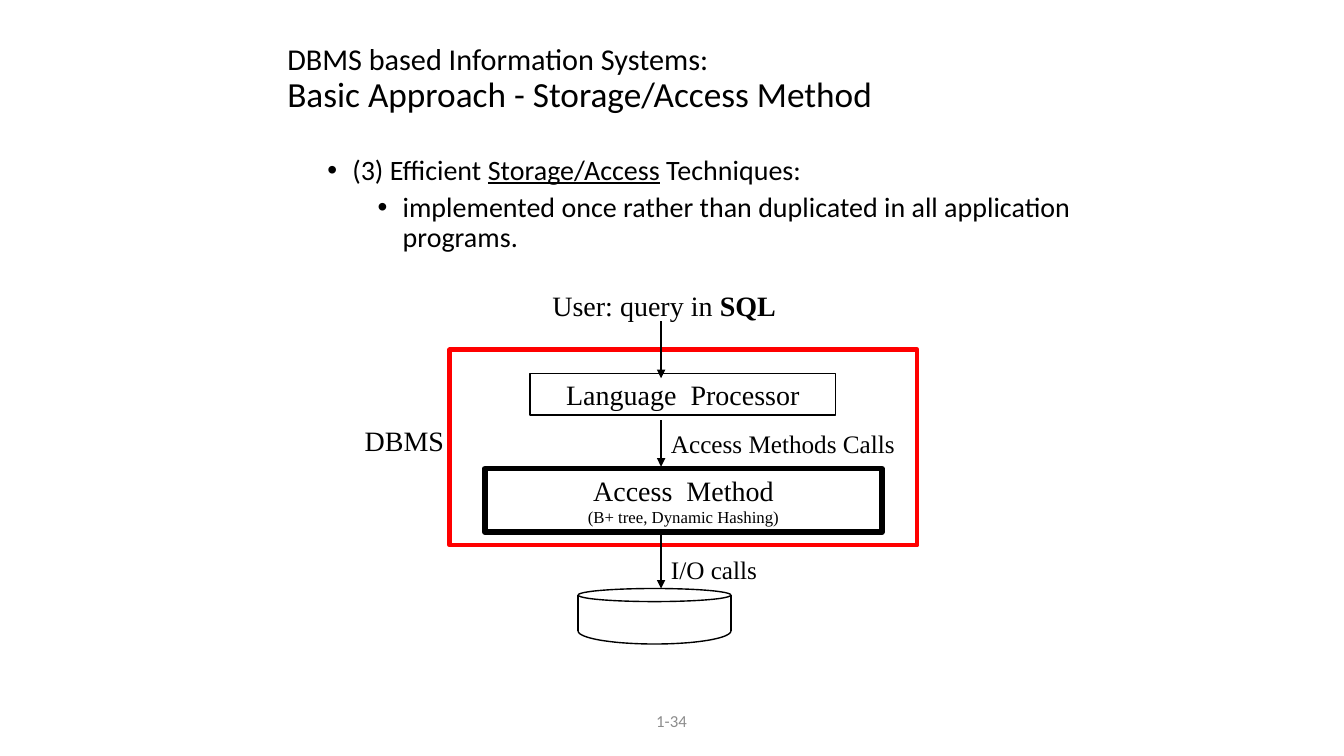
from math import cos, pi, sin

from pptx import Presentation
from pptx.dml.color import RGBColor
from pptx.enum.shapes import MSO_CONNECTOR, MSO_SHAPE
from pptx.enum.text import MSO_ANCHOR, PP_ALIGN
from pptx.oxml.ns import qn
from pptx.util import Cm, Pt
from lxml.etree import SubElement

BLACK = RGBColor(0x00, 0x00, 0x00)
WHITE = RGBColor(0xFF, 0xFF, 0xFF)
RED = RGBColor(0xFF, 0x00, 0x00)
GRAY = RGBColor(0x8C, 0x8C, 0x8C)
SANS = "Calibri"
SERIF = "Times New Roman"


def add_run(p, text, size, font=SERIF, color=BLACK, bold=None, underline=None):
    r = p.add_run()
    r.text = text
    r.font.size = Pt(size)
    r.font.name = font
    r.font.color.rgb = color
    r.font.bold = bold
    r.font.underline = underline


def add_box(s, x, y, w, h, anchor=MSO_ANCHOR.TOP, wrap=True):
    """Add an empty text box and return its text frame."""
    tf = s.shapes.add_textbox(Cm(x), Cm(y), Cm(w), Cm(h)).text_frame
    tf.word_wrap = wrap
    tf.vertical_anchor = anchor
    return tf


def add_label(s, x, y, w, h, size, text, bold_text=None):
    p = add_box(s, x, y, w, h, wrap=False).paragraphs[0]
    add_run(p, text, size)
    if bold_text:
        add_run(p, bold_text, size, bold=True)


def add_bullet(p, level):
    """Indent the paragraph by level and give it a round bullet."""
    p.level = level
    p.line_spacing = 0.9
    pPr = p._p.get_or_add_pPr()
    pPr.set("marL", str(Cm(0.63 + 1.27 * level)))
    pPr.set("indent", str(-Cm(0.63)))
    SubElement(pPr, qn("a:buFont")).set("typeface", "Arial")
    SubElement(pPr, qn("a:buChar")).set("char", "•")


def style(sp, color, width):
    sp.shadow.inherit = False
    sp.line.color.rgb = color
    sp.line.width = Pt(width)


def add_outlined(s, kind, x, y, w, h, color, width, lines=()):
    """Add a white preset shape with centred (text, size) lines."""
    sp = s.shapes.add_shape(kind, Cm(x), Cm(y), Cm(w), Cm(h))
    sp.fill.solid()
    sp.fill.fore_color.rgb = WHITE
    style(sp, color, width)
    tf = sp.text_frame
    tf.word_wrap = False
    tf.vertical_anchor = MSO_ANCHOR.MIDDLE
    for i, (text, size) in enumerate(lines):
        p = tf.add_paragraph() if i else tf.paragraphs[0]
        p.alignment = PP_ALIGN.CENTER
        add_run(p, text, size)


def add_vertical(s, x, top, bottom, width, arrow=False):
    line = s.shapes.add_connector(
        MSO_CONNECTOR.STRAIGHT, Cm(x), Cm(top), Cm(x), Cm(bottom))
    line.line.color.rgb = BLACK
    line.line.width = Pt(width)
    if arrow:
        SubElement(line.line._get_or_add_ln(), qn("a:tailEnd")).set("type", "triangle")
    SubElement(line._element.spPr, qn("a:effectLst"))


def add_disk(s, x, y, w, h, lid):
    """Add a cylinder: elliptic lid, two sides and a curved bottom."""
    add_outlined(s, MSO_SHAPE.OVAL, x, y, w, lid, BLACK, 1)
    side_bottom = y + h - lid
    radius = w / 2
    points = [(Cm(x + radius + radius * cos(pi * i / 40)),
               Cm(side_bottom + lid * sin(pi * i / 40))) for i in range(41)]
    builder = s.shapes.build_freeform(*points[0])
    builder.add_line_segments(points[1:], close=False)
    bottom = builder.convert_to_shape()
    bottom.fill.background()
    style(bottom, BLACK, 1)
    for side in (x, x + w):
        add_vertical(s, side, y + lid / 2, side_bottom, 1)


def main():
    prs = Presentation()
    prs.slide_width, prs.slide_height = Cm(33.87), Cm(19.05)
    s = prs.slides.add_slide(prs.slide_layouts[6])

    # Page number
    p = add_box(s, 12.9, 17.65, 8.05, 1.02, MSO_ANCHOR.MIDDLE).paragraphs[0]
    p.alignment = PP_ALIGN.CENTER
    add_run(p, "1-34", 12, SANS, GRAY)

    # Title
    p = add_box(s, 6.99, 1.07, 20.12, 1.9, MSO_ANCHOR.MIDDLE).paragraphs[0]
    p.line_spacing = 0.9
    add_run(p, "DBMS based Information Systems:", 21.6, SANS)
    p.add_line_break()
    add_run(p, "Basic Approach - Storage/Access Method", 25.2, SANS)

    # Bullets
    tf = add_box(s, 6.73, 3.81, 21.84, 12.9)
    p = tf.paragraphs[0]
    add_bullet(p, 1)
    add_run(p, "(3) Efficient ", 20, SANS)
    add_run(p, "Storage/Access", 20, SANS, underline=True)
    add_run(p, " Techniques:", 20, SANS)
    p = tf.add_paragraph()
    p.space_before = Pt(5)
    add_bullet(p, 2)
    add_run(p, "implemented once rather than duplicated in all "
               "application programs.", 20, SANS)

    # DBMS frame and its layers
    rect = MSO_SHAPE.RECTANGLE
    add_outlined(s, rect, 11.33, 8.81, 11.79, 4.93, RED, 3)
    add_outlined(s, rect, 13.36, 9.42, 7.7, 1.04, BLACK, 1,
                 [("Language  Processor", 20)])
    add_outlined(s, rect, 12.22, 11.81, 10.01, 1.6, BLACK, 4,
                 [("Access  Method", 20), ("(B+ tree, Dynamic Hashing)", 12)])

    # Labels
    add_label(s, 8.94, 10.54, 2.54, 1.09, 20, "DBMS")
    add_label(s, 13.67, 7.14, 6.17, 1.09, 20, "User: query in ", "SQL")
    add_label(s, 16.66, 10.67, 6.2, 1.02, 18, "Access Methods Calls")
    add_label(s, 16.66, 13.84, 2.69, 1.02, 18, "I/O calls")

    # Storage disk and call arrows
    add_disk(s, 14.57, 14.83, 3.85, 1.4, 0.33)
    for top, bottom in ((8.1, 9.53), (10.59, 11.76), (13.41, 14.83)):
        add_vertical(s, 16.66, top, bottom, 2, arrow=True)

    prs.save("out.pptx")


if __name__ == "__main__":
    main()
